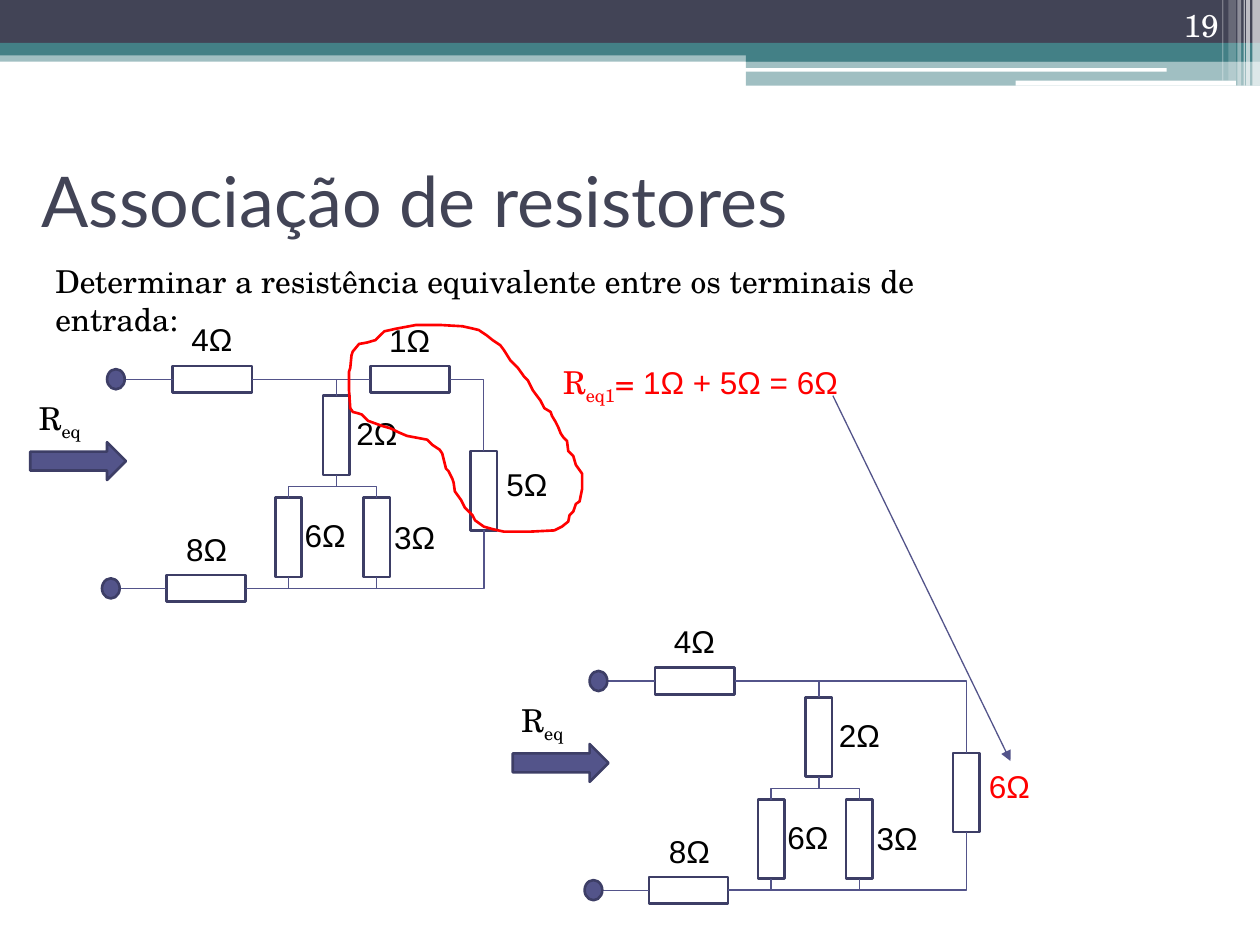
from dataclasses import dataclass

from lxml.etree import SubElement
from pptx import Presentation
from pptx.dml.color import RGBColor
from pptx.enum.shapes import MSO_CONNECTOR, MSO_SHAPE
from pptx.enum.text import MSO_ANCHOR, MSO_AUTO_SIZE, PP_ALIGN
from pptx.oxml.ns import qn
from pptx.util import Inches, Pt

# The slide is a grid of 1000 columns by 750 rows
COLUMNS, ROWS = 1000, 750
CELL = Inches(10) // COLUMNS


@dataclass(frozen=True)
class Theme:
    dark: str = "424456"
    teal: str = "438086"
    white: str = "FFFFFF"
    black: str = "000000"
    red: str = "FF0000"
    wire: str = "53548A"
    outline: str = "3D3E66"
    serif: str = "TeX Gyre Schola"
    sans: str = "Arial"
    heading: str = "Lato"
    title_size: int = 40
    text_size: int = 18
    thin: float = 0.75
    thick: float = 1.5


THEME = Theme()

# Header bands: left, top, width, height, colour, opacity in percent
BANDS = [
    (0, 40, 1000, 9, THEME.teal, 50),
    (0, 0, 1000, 34, THEME.dark, 100),
    (0, 34, 1000, 10, THEME.teal, 100),
    (592, 39, 408, 10, THEME.teal, 100),
    (592, 48, 408, 20, THEME.teal, 50),
    (591, 54, 335, 3, THEME.white, 100),
    (806, 64, 175, 4, THEME.white, 100),
    (994, 0, 6, 68, THEME.white, 65),
    (989, 0, 3, 68, THEME.white, 65),
    (987, 0, 1, 68, THEME.white, 60),
    (982, 0, 3, 68, THEME.white, 40),
    (975, 0, 6, 64, THEME.white, 20),
    (970, 0, 1, 64, THEME.white, 30),
]

# Circuit: wire rows, branch columns and resistor size
TOP_ROW, BOTTOM_ROW, SPLIT_ROW = 301, 467, 386
LEFT_BRANCH, MIDDLE_BRANCH, RIGHT_BRANCH, OUTER_BRANCH = 229, 267, 299, 384
LONG, SHORT = 63, 21

# Outline around the two resistors in series
LOOP = [
    (298, 270), (291, 272), (285, 273), (280, 279), (279, 282), (278, 292),
    (277, 295), (277, 310), (278, 324), (280, 327), (284, 328), (287, 329),
    (292, 334), (303, 338), (310, 340), (316, 343), (323, 346), (339, 349),
    (343, 353), (349, 357), (351, 360), (354, 372), (356, 374), (359, 380),
    (360, 383), (361, 390), (366, 397), (369, 403), (375, 409), (377, 413),
    (384, 418), (391, 420), (400, 422), (420, 422), (440, 421), (446, 418),
    (451, 414), (452, 409), (455, 406), (457, 400), (460, 398), (462, 388),
    (462, 376), (457, 369), (455, 362), (451, 358), (450, 350), (447, 347),
    (445, 344), (443, 339), (441, 335), (438, 330), (437, 327), (432, 324),
    (429, 318), (423, 310), (419, 302), (416, 299), (411, 292), (405, 286),
    (400, 278), (397, 274), (391, 270), (386, 266), (380, 262), (376, 261),
    (367, 259), (350, 258), (330, 258), (314, 261), (305, 263),
]


def grid(*values):
    return [int(CELL * value) for value in values]


def color(code):
    return RGBColor.from_string(code)


def add_figure(slide, kind, box, fill=None, line=None, opacity=100):
    """Add a preset shape with an optional fill and outline."""
    shape = slide.shapes.add_shape(kind, *grid(*box))
    shape.shadow.inherit = False
    if fill:
        shape.fill.solid()
        shape.fill.fore_color.rgb = color(fill)
        if opacity < 100:
            code = shape.fill._xPr.find(".//" + qn("a:srgbClr"))
            SubElement(code, qn("a:alpha"), val=str(opacity * 1000))
    else:
        shape.fill.background()
    if line:
        shape.line.color.rgb = color(line)
        shape.line.width = Pt(THEME.thick)
    else:
        shape.line.fill.background()
    return shape


def add_label(slide, box, runs, ink=THEME.black, wrap=False):
    """Add a text box; each run is (text, font, is subscript)."""
    text_box = slide.shapes.add_textbox(*grid(*box))
    frame = text_box.text_frame
    frame.word_wrap = wrap
    frame.auto_size = MSO_AUTO_SIZE.SHAPE_TO_FIT_TEXT
    for text, font_name, subscript in runs:
        run = frame.paragraphs[0].add_run()
        run.text = text
        run.font.name = font_name
        run.font.size = Pt(THEME.text_size)
        run.font.color.rgb = color(ink)
        if subscript:
            run._r.get_or_add_rPr().set("baseline", "-25000")
    return text_box


def add_wire(slide, start, end, elbow=False, arrow=False):
    """Add a straight wire, or one that runs across and then up or down."""
    kind = MSO_CONNECTOR.ELBOW if elbow else MSO_CONNECTOR.STRAIGHT
    wire = slide.shapes.add_connector(kind, *grid(*start, *end))
    wire.line.color.rgb = color(THEME.wire)
    wire.line.width = Pt(THEME.thin)
    properties = wire._element.spPr
    if elbow:
        properties.find(qn("a:prstGeom")).set("prst", "bentConnector2")
    if arrow:
        SubElement(wire.line._get_or_add_ln(), qn("a:tailEnd"), type="triangle")
    SubElement(properties, qn("a:effectLst"))
    return wire


def add_resistor(slide, column, row, upright=False):
    """Add a resistor centred on a grid point."""
    width, height = (SHORT, LONG) if upright else (LONG, SHORT)
    box = (column - width / 2, row - height / 2, width, height)
    return add_figure(slide, MSO_SHAPE.RECTANGLE, box, line=THEME.outline)


def add_circuit(slide, column, row, series):
    """Add the circuit, moved by column and row; series keeps 1Ω and 5Ω apart."""
    def at(x, y):
        return column + x, row + y

    # Resistors
    first = add_resistor(slide, *at(168.5, TOP_ROW))
    last = add_resistor(slide, *at(163.5, BOTTOM_ROW))
    middle = add_resistor(slide, *at(MIDDLE_BRANCH, 345.5), upright=True)
    add_resistor(slide, *at(OUTER_BRANCH, 389.5), upright=True)
    for branch in (LEFT_BRANCH, RIGHT_BRANCH):
        add_resistor(slide, *at(branch, 426.5), upright=True)
    if series:
        add_resistor(slide, *at(325.5, TOP_ROW))

    # Terminals and their leads
    for x, y, resistor in ((92, TOP_ROW, first), (88, BOTTOM_ROW, last)):
        lead = add_wire(slide, at(x, y), at(x + LONG, y))
        lead.end_connect(resistor, 1)
        add_figure(slide, MSO_SHAPE.OVAL, (*at(x - 7, y - 8), 14, 16),
                   THEME.wire, THEME.outline)

    # Wires along the top row, at the split and along the bottom row
    for x in (200, 294):
        add_wire(slide, at(x, TOP_ROW), at(MIDDLE_BRANCH, 314), elbow=True)
    add_wire(slide, at(357 if series else 200, TOP_ROW),
             at(OUTER_BRANCH, 358), elbow=True)
    stem = add_wire(slide, at(MIDDLE_BRANCH, 377), at(MIDDLE_BRANCH, SPLIT_ROW))
    stem.begin_connect(middle, 2)
    for branch in (LEFT_BRANCH, RIGHT_BRANCH):
        add_wire(slide, at(MIDDLE_BRANCH, SPLIT_ROW), at(branch, 395), elbow=True)
    for branch, y in ((LEFT_BRANCH, 458), (RIGHT_BRANCH, 458), (OUTER_BRANCH, 421)):
        add_wire(slide, at(195, BOTTOM_ROW), at(branch, y), elbow=True)

    # Input arrow and values
    add_figure(slide, MSO_SHAPE.RIGHT_ARROW, (*at(24, 351), 76, 30),
               THEME.wire, THEME.outline)
    add_label(slide, (*at(21, 312), 55, 40),
              [("R", THEME.serif, False), ("eq", THEME.serif, True)])
    values = [("4Ω", 142, 249, THEME.black), ("3Ω", 303, 406, THEME.black),
              ("2Ω", 273, 324, THEME.black), ("6Ω", 232, 405, THEME.black),
              ("8Ω", 138, 416, THEME.black)]
    if series:
        values += [("1Ω", 299, 250, THEME.black), ("5Ω", 392, 364, THEME.black)]
    else:
        values += [("6Ω", 392, 364, THEME.red)]
    for text, x, y, ink in values:
        add_label(slide, (*at(x, y), 53, 40), [(text, THEME.sans, False)], ink)


def add_loop(slide):
    builder = slide.shapes.build_freeform(*LOOP[0], scale=CELL)
    builder.add_line_segments(LOOP[1:], close=True)
    loop = builder.convert_to_shape()
    loop.shadow.inherit = False
    loop.fill.background()
    loop.line.color.rgb = color(THEME.red)
    loop.line.width = Pt(THEME.thick)


def set_title(slide, text):
    title = slide.shapes.title
    title.left, title.top, title.width, title.height = grid(23, 104, 862, 109)
    title.text_frame.text = text
    title.text_frame.vertical_anchor = MSO_ANCHOR.MIDDLE
    paragraph = title.text_frame.paragraphs[0]
    paragraph.alignment = PP_ALIGN.LEFT
    paragraph.font.name = THEME.heading
    paragraph.font.size = Pt(THEME.title_size)
    paragraph.font.color.rgb = color(THEME.dark)


def main():
    presentation = Presentation()
    presentation.slide_width, presentation.slide_height = grid(COLUMNS, ROWS)
    slide = presentation.slides.add_slide(presentation.slide_layouts[5])

    # Header, title and page number
    for *box, fill, opacity in BANDS:
        add_figure(slide, MSO_SHAPE.RECTANGLE, box, fill, opacity=opacity)
    set_title(slide, "Associação de resistores")
    number = add_label(slide, (894, 0, 83, 40), [("19", THEME.serif, False)],
                       THEME.white, wrap=True)
    number.text_frame.paragraphs[0].alignment = PP_ALIGN.RIGHT

    # Question and the two circuits
    question = "Determinar a resistência equivalente entre os terminais de entrada:"
    add_label(slide, (34, 203, 772, 40), [(question, THEME.serif, False)], wrap=True)
    add_circuit(slide, 0, 0, series=True)
    add_circuit(slide, 383, 239.5, series=False)

    # First reduction step
    add_loop(slide)
    add_label(slide, (437, 283, 248, 40),
              [("R", THEME.serif, False), ("eq1", THEME.serif, True),
               ("= ", THEME.serif, False), ("1Ω + 5Ω = 6Ω", THEME.sans, False)],
              THEME.red)
    add_wire(slide, (661, 314), (802, 604), arrow=True)

    presentation.save("out.pptx")


if __name__ == "__main__":
    main()
